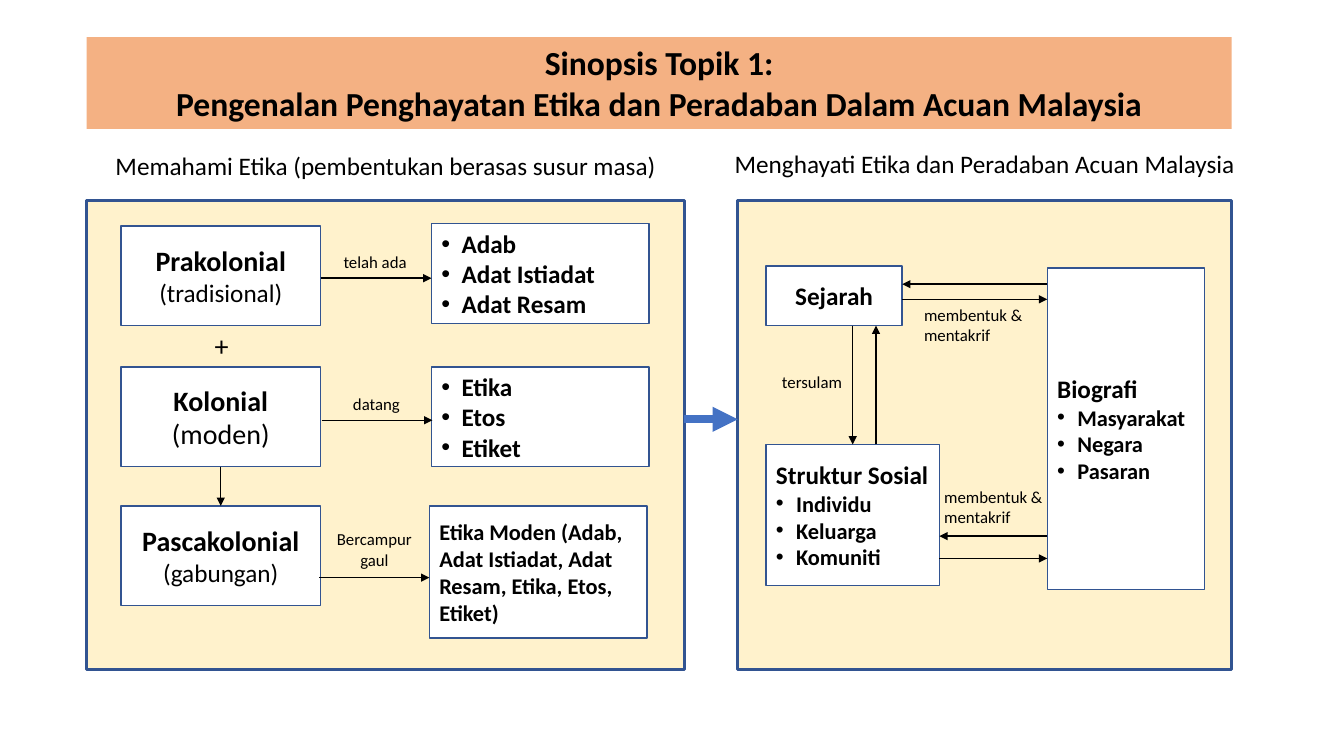
from lxml import etree
from pptx import Presentation, util as u
from pptx.dml.color import RGBColor
from pptx.enum import shapes, text
from pptx.oxml.ns import qn

Pt = u.Pt
CENTER, LEFT = text.PP_ALIGN.CENTER, text.PP_ALIGN.LEFT
TOP, MIDDLE = text.MSO_ANCHOR.TOP, text.MSO_ANCHOR.MIDDLE
BULLET_INDENT = Pt(14.4)
BLACK, BORDER = "000000", "325491"


def paint(target, color):
    """Give a fill or font a solid colour from a hex string."""
    if hasattr(target, "solid"):
        target.solid()
        target.fore_color.rgb = RGBColor.from_string(color)
    else:
        target.color.rgb = RGBColor.from_string(color)


def write(frame, lines, align, anchor, wrap=True):
    """Fill a text frame with (words, size, bold, bulleted) lines."""
    frame_format = {"word_wrap": wrap, "vertical_anchor": anchor,
                    "auto_size": text.MSO_AUTO_SIZE.NONE,
                    "margin_left": Pt(7.2), "margin_right": Pt(7.2),
                    "margin_top": Pt(3.6), "margin_bottom": Pt(3.6)}
    for key, value in frame_format.items():
        setattr(frame, key, value)
    for i, (words, size, bold, bulleted) in enumerate(lines):
        line = frame.paragraphs[0] if i == 0 else frame.add_paragraph()
        line.text = words
        line.alignment = align
        if bulleted:
            props = line._p.get_or_add_pPr()
            props.set("marL", str(BULLET_INDENT))
            props.set("indent", str(-BULLET_INDENT))
            etree.SubElement(props, qn("a:buFont")).set("typeface", "Arial")
            etree.SubElement(props, qn("a:buChar")).set("char", "•")
        for key, value in {"name": "Calibri", "size": Pt(size), "bold": bold}.items():
            setattr(line.font, key, value)
        paint(line.font, BLACK)


deck = Presentation()
deck.slide_width, deck.slide_height = Pt(960), Pt(540)
slide = deck.slides.add_slide(deck.slide_layouts[5])

# Title banner
banner = slide.shapes.title
banner_place = {"left": 61.9, "top": 26.6, "width": 817.9, "height": 65.5}
for key, value in banner_place.items():
    setattr(banner, key, Pt(value))
paint(banner.fill, "F4B183")
write(banner.text_frame,
      [("Sinopsis Topik 1:", 24, True, False),
       ("Pengenalan Penghayatan Etika dan Peradaban Dalam Acuan Malaysia", 24, True, False)],
      CENTER, TOP)

# Panels and boxes: place, fill, border width, alignment, lines
era_x, era_w, trait_x, trait_w, row_h = 86.4, 142.6, 308.2, 155.5, 71.3
pillar_x, panel_y, panel_h = 547.2, 143.3, 334.8
boxes = [
    ((527, panel_y, 352.8, panel_h), "FFF2CC", 2.25, CENTER, []),
    ((61.9, panel_y, 427, panel_h), "FFF2CC", 2.25, CENTER, []),
]
eras = [("Prakolonial", "(tradisional)", 18, 161.3),
        ("Kolonial", "(moden)", 20, 262.1),
        ("Pascakolonial", "(gabungan)", 18, 361.4)]
for era, kind, kind_size, y in eras:
    boxes.append(((era_x, y, era_w, row_h), "FFFFFF", 1, CENTER,
                  [(era, 20, True, False), (kind, kind_size, False, False)]))
traits = [(159.8, ["Adab", "Adat Istiadat", "Adat Resam"]),
          (262.1, ["Etika", "Etos", "Etiket"])]
for y, names in traits:
    boxes.append(((trait_x, y, trait_w, row_h), "FFFFFF", 1, LEFT,
                  [(name, 18, True, True) for name in names]))
boxes += [
    ((306.7, 361.4, trait_w, 94.3), "FFFFFF", 1, LEFT,
     [("Etika Moden (Adab, Adat Istiadat, Adat Resam, Etika, Etos, Etiket)", 16, True, False)]),
    ((pillar_x, 190.1, 97.2, 42.5), "FFFFFF", 1, CENTER, [("Sejarah", 18, True, False)]),
]
pillars = [((pillar_x, 317.5, 123.8, 100.8), "Struktur Sosial", ["Individu", "Keluarga", "Komuniti"]),
           ((748.1, 191.5, 112.3, 229.7), "Biografi", ["Masyarakat", "Negara", "Pasaran"])]
for place, heading, members in pillars:
    boxes.append((place, "FFFFFF", 1, LEFT, [(heading, 18, True, False)]
                  + [(member, 16, True, True) for member in members]))

drawn = {}
for place, color, border, align, lines in boxes:
    box = slide.shapes.add_shape(shapes.MSO_SHAPE.RECTANGLE, *map(Pt, place))
    box.shadow.inherit = False
    paint(box.fill, color)
    paint(box.line.fill, BORDER)
    box.line.width = Pt(border)
    if lines:
        write(box.text_frame, lines, align, MIDDLE)
        drawn[lines[0][0]] = box

# Headings and labels: place, size, alignment, wrap, lines
labels = [
    ((61.9, 103.7, 427, 28.8), 18, CENTER, True, ["Memahami Etika (pembentukan berasas susur masa)"]),
    ((517.7, 102.2, 375.8, 28.8), 18, LEFT, False, ["Menghayati Etika dan Peradaban Acuan Malaysia"]),
    ((238.3, 176.4, 59.8, 21.6), 12, LEFT, False, ["telah ada"]),
    ((244.8, 277.9, 48.2, 21.6), 12, CENTER, False, ["datang"]),
    ((146.2, 231.1, 24.5, 31.7), 20, LEFT, False, ["+"]),
    ((231.8, 374.4, 71.3, 36), 12, CENTER, True, ["Bercampur gaul"]),
    ((551.5, 262.1, 57.6, 21.6), 12, LEFT, False, ["tersulam"]),
]
for x, y in [(653, 213.8), (667.4, 344.2)]:
    labels.append(((x, y, 86.4, 36), 12, LEFT, False, ["membentuk &", "mentakrif"]))
for place, size, align, wrap, lines in labels:
    label = slide.shapes.add_textbox(*map(Pt, place))
    write(label.text_frame, [(words, size, False, False) for words in lines], align, TOP, wrap)

# Arrows: start x, start y, end x, end y, colour, width
arrows = [
    (229, 198.7, 308.2, 198.7, BLACK, 1),
    (229.7, 300.2, 308.9, 300.2, BLACK, 1),
    (228.2, 412.6, 306.7, 412.6, BLACK, 1),
    (157.7, 333.4, 157.7, 361.4, BLACK, 1),
    (609.1, 232.6, 609.1, 317.5, BLACK, 1),
    (625.7, 317.5, 625.7, 232.6, BLACK, 1),
    (748.1, 203, 644.4, 203, BLACK, 1),
    (644.4, 213.8, 748.1, 213.8, BLACK, 1),
    (748.1, 383, 671, 383, BLACK, 1),
    (671, 398.9, 748.1, 398.9, BLACK, 1),
    (488.9, 299.5, 527, 299.5, "4472C4", 6),
]
for *ends, color, width in arrows:
    arrow = slide.shapes.add_connector(shapes.MSO_CONNECTOR.STRAIGHT, *map(Pt, ends))
    paint(arrow.line.fill, color)
    arrow.line.width = Pt(width)
    etree.SubElement(arrow.line._get_or_add_ln(), qn("a:tailEnd")).set("type", "triangle")
    etree.SubElement(arrow._element.spPr, qn("a:effectLst"))
    if ends[0] == ends[2] == 157.7:
        arrow.begin_connect(drawn["Kolonial"], 2)
        arrow.end_connect(drawn["Pascakolonial"], 0)

deck.save("out.pptx")
